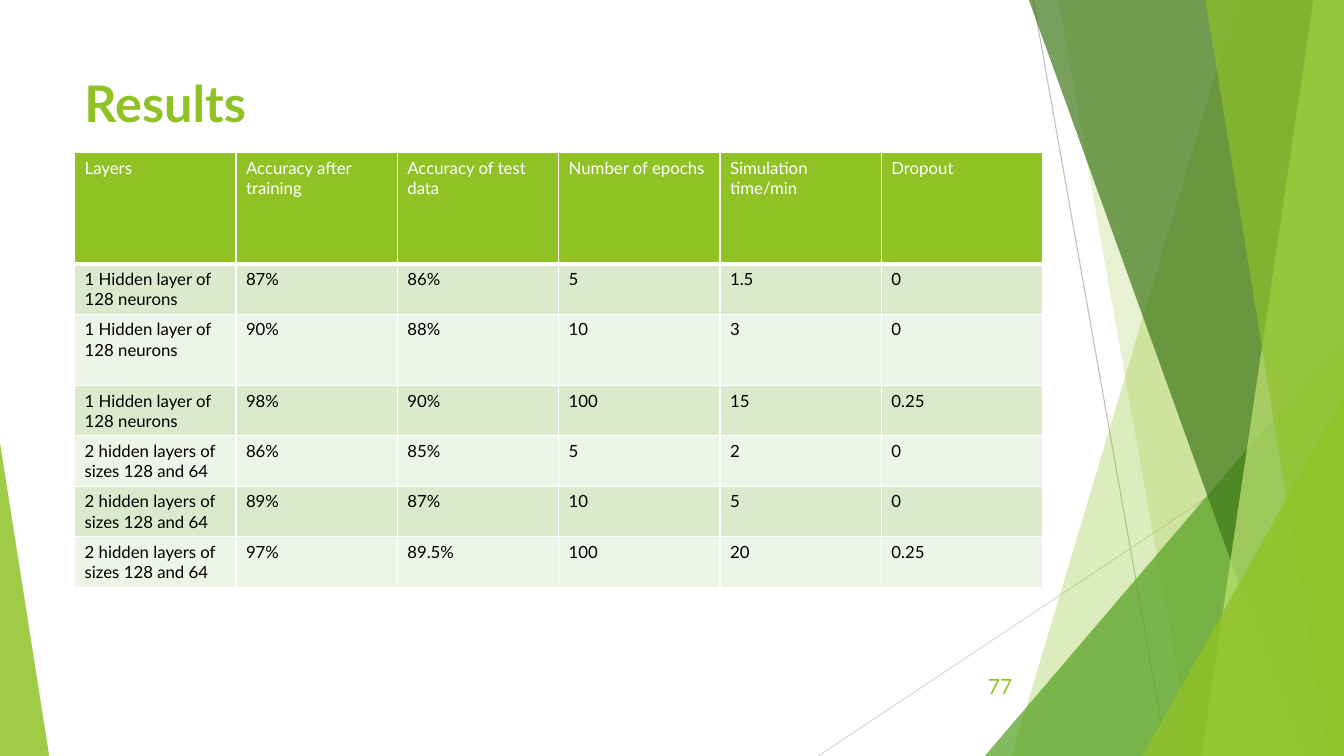
from dataclasses import dataclass

import lxml.etree
import pptx
import pptx.dml.color
import pptx.enum.shapes
import pptx.enum.text
import pptx.oxml.ns
import pptx.shapes.base
import pptx.slide
import pptx.table
import pptx.text.text
import pptx.util

Cm = pptx.util.Cm
Pt = pptx.util.Pt
RGB = pptx.dml.color.RGBColor
qn = pptx.oxml.ns.qn

SLIDE_WIDTH, SLIDE_HEIGHT = 33.87, 19.05


@dataclass(frozen=True)
class Theme:
    font: str = "Lato"
    title_size: float = 36
    number_size: float = 15
    table_size: float = 12
    green: str = "90C226"
    leaf: str = "54A021"
    forest: str = "3F7819"
    lime: str = "C0E474"
    band_dark: str = "DBE9CD"
    band_light: str = "EEF4E8"
    white: str = "FFFFFF"
    black: str = "000000"
    ray_dark: str = "BFBFBF"
    ray_light: str = "D9D9D9"


THEME = Theme()


@dataclass(frozen=True)
class Ray:
    start: tuple[float, float]
    end: tuple[float, float]
    color: str


@dataclass(frozen=True)
class Shard:
    top_left: float
    bottom_left: float
    color: str
    opacity: int


@dataclass(frozen=True)
class Corner:
    left: float
    top: float
    width: float
    apex: float
    color: str
    opacity: int


@dataclass(frozen=True)
class Label:
    text: str
    box: tuple[float, float, float, float]
    size: float
    bold: bool
    align: pptx.enum.text.PP_ALIGN
    anchor: pptx.enum.text.MSO_ANCHOR


RAYS = [
    Ray((26.04, 0), (29.41, SLIDE_HEIGHT), THEME.ray_dark),
    Ray((SLIDE_WIDTH, 10.24), (20.62, SLIDE_HEIGHT), THEME.ray_light),
]
FACETS = [
    Shard(31.19, 25.5, THEME.green, 30),
    Shard(26.67, 30.05, THEME.green, 20),
    Corner(24.82, 8.46, 9.05, 1, THEME.leaf, 72),
    Shard(25.93, 32.79, THEME.forest, 70),
    Shard(33.1, 30.28, THEME.lime, 70),
    Shard(30.38, 33.48, THEME.green, 65),
    Corner(28.8, 9.98, 5.07, 1, THEME.green, 80),
    Corner(0, 11.15, 1.24, 0, THEME.green, 85),
]
LABELS = [
    Label("Results", (1.88, 1.7, 23.88, 3.66), THEME.title_size, True,
          pptx.enum.text.PP_ALIGN.LEFT, pptx.enum.text.MSO_ANCHOR.TOP),
    Label("77", (23.85, 16.79, 1.91, 1.02), THEME.number_size, False,
          pptx.enum.text.PP_ALIGN.RIGHT, pptx.enum.text.MSO_ANCHOR.MIDDLE),
]
ONE_LAYER = "1 Hidden layer of 128 neurons"
TWO_LAYERS = "2 hidden layers of sizes 128 and 64"
RESULTS = [
    ("Layers", "Accuracy after training", "Accuracy of test data",
     "Number of epochs", "Simulation time/min", "Dropout"),
    (ONE_LAYER, "87%", "86%", "5", "1.5", "0"),
    (ONE_LAYER, "90%", "88%", "10", "3", "0"),
    (ONE_LAYER, "98%", "90%", "100", "15", "0.25"),
    (TWO_LAYERS, "86%", "85%", "5", "2", "0"),
    (TWO_LAYERS, "89%", "87%", "10", "5", "0"),
    (TWO_LAYERS, "97%", "89.5%", "100", "20", "0.25"),
]
ROW_HEIGHTS = [2.8, 1.27, 1.79, 1.27, 1.27, 1.27, 1.27]
TABLE_LEFT, TABLE_TOP, TABLE_WIDTH = 1.88, 3.85, 24.4


def draw_ray(slide: pptx.slide.Slide, ray: Ray) -> None:
    """Draw one thin background line."""
    line = slide.shapes.add_connector(
        pptx.enum.shapes.MSO_CONNECTOR.STRAIGHT, *map(Cm, ray.start + ray.end))
    line.line.color.rgb = RGB.from_string(ray.color)
    line.line.width = Pt(0.75)
    lxml.etree.SubElement(line.element.spPr, qn("a:effectLst"))


def paint(shape: pptx.shapes.base.BaseShape, color: str, opacity: int) -> None:
    """Give a facet its translucent fill without line or shadow."""
    shape.shadow.inherit = False
    shape.line.fill.background()
    shape.fill.solid()
    shape.fill.fore_color.rgb = RGB.from_string(color)
    tint = shape.element.spPr.find(qn("a:solidFill")).find(qn("a:srgbClr"))
    lxml.etree.SubElement(tint, qn("a:alpha"), val=str(opacity * 1000))


def draw_facet(slide: pptx.slide.Slide, facet: Shard | Corner) -> None:
    """Draw a full-height shard or a triangle standing on the lower edge."""
    if isinstance(facet, Shard):
        builder = slide.shapes.build_freeform(Cm(facet.top_left), 0)
        builder.add_line_segments([
            (Cm(SLIDE_WIDTH), 0),
            (Cm(SLIDE_WIDTH), Cm(SLIDE_HEIGHT)),
            (Cm(facet.bottom_left), Cm(SLIDE_HEIGHT)),
        ], close=True)
        shape = builder.convert_to_shape()
    else:
        shape = slide.shapes.add_shape(
            pptx.enum.shapes.MSO_SHAPE.ISOSCELES_TRIANGLE, Cm(facet.left), Cm(facet.top),
            Cm(facet.width), Cm(SLIDE_HEIGHT - facet.top))
        shape.adjustments[0] = facet.apex
    paint(shape, facet.color, facet.opacity)


def set_font(paragraph: pptx.text.text._Paragraph, size: float, color: str, bold: bool) -> None:
    """Set the type of a whole paragraph."""
    paragraph.font.name = THEME.font
    paragraph.font.size = Pt(size)
    paragraph.font.bold = bold
    paragraph.font.color.rgb = RGB.from_string(color)


def draw_label(slide: pptx.slide.Slide, label: Label) -> None:
    """Draw the title or the slide number."""
    frame = slide.shapes.add_textbox(*map(Cm, label.box)).text_frame
    frame.word_wrap = True
    frame.vertical_anchor = label.anchor
    paragraph = frame.paragraphs[0]
    paragraph.text = label.text
    paragraph.alignment = label.align
    set_font(paragraph, label.size, THEME.green, label.bold)


def draw_borders(cell: pptx.table._Cell, bottom: float) -> None:
    """Edge a cell in white, with its own weight below."""
    properties = cell._tc.get_or_add_tcPr()
    for side, width in (("L", 1), ("R", 1), ("T", 1), ("B", bottom)):
        edge = lxml.etree.SubElement(properties, qn(f"a:ln{side}"), w=str(Pt(width)))
        fill = lxml.etree.SubElement(edge, qn("a:solidFill"))
        lxml.etree.SubElement(fill, qn("a:srgbClr"), val=THEME.white)


def draw_results(slide: pptx.slide.Slide) -> None:
    """Draw the table of training runs."""
    table = slide.shapes.add_table(
        len(RESULTS), len(RESULTS[0]), Cm(TABLE_LEFT), Cm(TABLE_TOP),
        Cm(TABLE_WIDTH), Cm(sum(ROW_HEIGHTS))).table
    for row, (height, values) in enumerate(zip(ROW_HEIGHTS, RESULTS)):
        table.rows[row].height = Cm(height)
        header = row == 0
        band = THEME.band_dark if row % 2 else THEME.band_light
        for column, value in enumerate(values):
            cell = table.cell(row, column)
            cell.text = value
            set_font(cell.text_frame.paragraphs[0], THEME.table_size,
                     THEME.white if header else THEME.black, False)
            draw_borders(cell, 3 if header else 1)
            cell.fill.solid()
            cell.fill.fore_color.rgb = RGB.from_string(THEME.green if header else band)


def main() -> None:
    """Build and save the results slide."""
    deck = pptx.Presentation()
    deck.slide_width, deck.slide_height = Cm(SLIDE_WIDTH), Cm(SLIDE_HEIGHT)
    slide = deck.slides.add_slide(deck.slide_layouts[6])
    for ray in RAYS:
        draw_ray(slide, ray)
    for facet in FACETS:
        draw_facet(slide, facet)
    for label in LABELS:
        draw_label(slide, label)
    draw_results(slide)
    deck.save("out.pptx")


if __name__ == "__main__":
    main()
